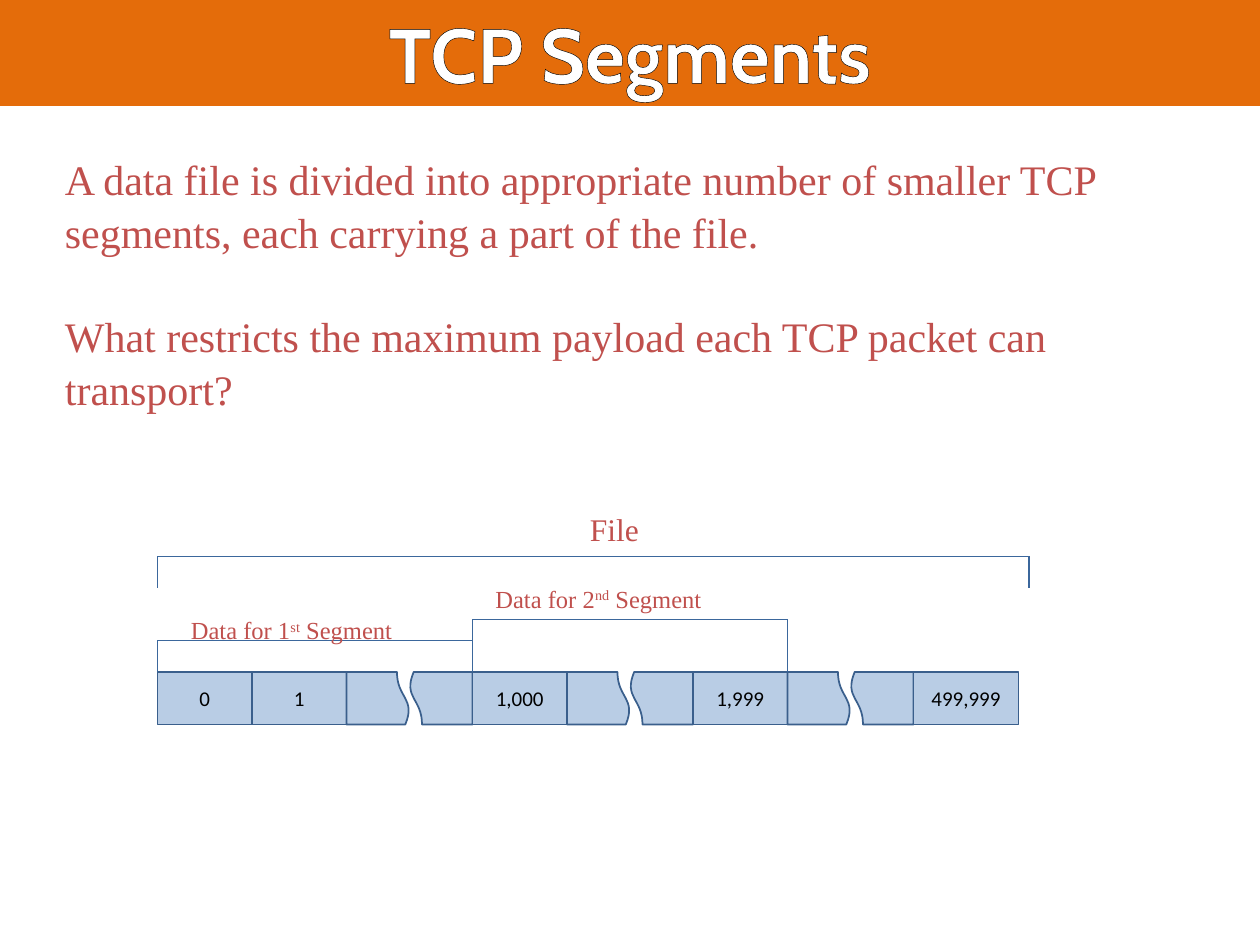
import pptx
import pptx.util
import pptx.dml.color
import pptx.enum.shapes
import pptx.enum.text
import pptx.oxml.ns
import lxml.etree

Pt = pptx.util.Pt
RGB = pptx.dml.color.RGBColor
MSO = pptx.enum.shapes.MSO_SHAPE
ALIGN = pptx.enum.text.PP_ALIGN
ANCHOR = pptx.enum.text.MSO_ANCHOR
qn = pptx.oxml.ns.qn

ORANGE = RGB(0xE4, 0x6C, 0x0A)
WHITE = RGB(0xFF, 0xFF, 0xFF)
BLACK = RGB(0x00, 0x00, 0x00)
RED = RGB(0xC0, 0x50, 0x4D)
CELL_FILL = RGB(0xB9, 0xCD, 0xE5)
CELL_LINE = RGB(0x3A, 0x5F, 0x8C)
BRACKET = RGB(0x3B, 0x67, 0x9C)

TITLE_FONT = {"name": "Cabin", "size": Pt(44), "bold": True}
BODY_FONT = {"name": "Times New Roman", "size": Pt(24)}
FILE_FONT = {"name": "Times New Roman", "size": Pt(18)}
LABEL_FONT = {"name": "Times New Roman", "size": Pt(14)}
CELL_FONT = {"name": "Calibri", "size": Pt(12)}


def add_run(p, text, font, color):
    r = p.add_run()
    r.text = text
    for key, value in font.items():
        setattr(r.font, key, value)
    r.font.color.rgb = color
    return r


def add_title(s, text, x, y, w, h):
    sp = s.shapes.title
    sp.left, sp.top, sp.width, sp.height = Pt(x), Pt(y), Pt(w), Pt(h)
    sp.fill.solid()
    sp.fill.fore_color.rgb = ORANGE
    tf = sp.text_frame
    tf.auto_size = pptx.enum.text.MSO_AUTO_SIZE.NONE
    tf.vertical_anchor = ANCHOR.TOP
    p = tf.paragraphs[0]
    p.alignment = ALIGN.CENTER
    r = add_run(p, text, TITLE_FONT, WHITE)
    ln = lxml.etree.Element(qn("a:ln"), w=str(Pt(0.75)))
    fill = lxml.etree.SubElement(ln, qn("a:solidFill"))
    lxml.etree.SubElement(fill, qn("a:srgbClr"), val=str(BLACK))
    r.font._element.insert(0, ln)


def add_text_box(s, x, y, w, h, wrap=False):
    tf = s.shapes.add_textbox(Pt(x), Pt(y), Pt(w), Pt(h)).text_frame
    tf.word_wrap = wrap
    return tf


def add_body(s, paragraphs, x, y, w, h):
    tf = add_text_box(s, x, y, w, h, wrap=True)
    for i, text in enumerate(paragraphs):
        p = tf.add_paragraph() if i else tf.paragraphs[0]
        p.line_spacing = 1.05
        p.space_before = Pt(29 if i else 0)
        add_run(p, text, BODY_FONT, RED)


def add_segment_label(s, number, suffix, x, y, w, h):
    p = add_text_box(s, x, y, w, h).paragraphs[0]
    add_run(p, f"Data for {number}", LABEL_FONT, RED)
    r = add_run(p, suffix, LABEL_FONT, RED)
    r.font._element.set("baseline", "30000")
    add_run(p, " Segment", LABEL_FONT, RED)


def add_block(s, kind, x, y, w, h):
    sp = s.shapes.add_shape(kind, Pt(x), Pt(y), Pt(w), Pt(h))
    sp.shadow.inherit = False
    sp.fill.solid()
    sp.fill.fore_color.rgb = CELL_FILL
    sp.line.color.rgb = CELL_LINE
    sp.line.width = Pt(1)
    return sp


def add_cell(s, text, x, y, w, h):
    tf = add_block(s, MSO.RECTANGLE, x, y, w, h).text_frame
    tf.margin_left = tf.margin_right = 0
    tf.vertical_anchor = ANCHOR.MIDDLE
    p = tf.paragraphs[0]
    p.alignment = ALIGN.CENTER
    add_run(p, text, CELL_FONT, BLACK)


def add_torn_pair(s, x, y, w, h):
    half = w / 2
    for i, angle in enumerate((270, 90)):
        left = x + i * half + (half - h) / 2
        top = y + (h - half) / 2
        add_block(s, MSO.FLOWCHART_DOCUMENT, left, top, h, half).rotation = angle


def add_byte_row(s, x, y, h):
    cell_w, last_w, torn_w = 54, 60, 72
    add_cell(s, "0", x, y, cell_w, h)
    x += cell_w
    for text, next_w in (("1", cell_w), ("1,000", cell_w), ("1,999", cell_w)):
        add_cell(s, text, x, y, next_w, h)
        add_torn_pair(s, x + next_w, y, torn_w, h)
        x += next_w + torn_w
    add_cell(s, "499,999", x, y, last_w, h)


def add_bracket(s, x, y, w, h):
    corners = [(x, y + h), (x, y), (x + w, y), (x + w, y + h)]
    for (x1, y1), (x2, y2) in zip(corners, corners[1:]):
        c = s.shapes.add_connector(
            pptx.enum.shapes.MSO_CONNECTOR.STRAIGHT, Pt(x1), Pt(y1), Pt(x2), Pt(y2))
        c.line.color.rgb = BRACKET
        c.line.width = Pt(0.75)
        lxml.etree.SubElement(c._element.spPr, qn("a:effectLst"))


def add_file_diagram(s, x, y):
    segment_w, row_y = 180, y + 96
    add_byte_row(s, x, row_y, 30)
    add_bracket(s, x, y + 30, 498, 18)
    add_bracket(s, x, row_y - 18, segment_w, 18)
    add_bracket(s, x + segment_w, row_y - 30, segment_w, 30)
    add_run(add_text_box(s, x + 240, y, 51, 29).paragraphs[0], "File", FILE_FONT, RED)
    add_segment_label(s, 1, "st", x + 12, y + 60, 151, 24)
    add_segment_label(s, 2, "nd", x + 186, y + 42, 151, 24)


def main():
    prs = pptx.Presentation()
    prs.slide_width, prs.slide_height = Pt(720), Pt(540)
    s = prs.slides.add_slide(prs.slide_layouts[5])
    add_title(s, "TCP Segments", 0, 0, 720, 60.5)
    add_file_diagram(s, 90, 288)
    add_body(s, [
        "A data file is divided into appropriate number of smaller TCP "
        "segments, each carrying a part of the file.",
        "What restricts the maximum payload each TCP packet can transport?",
    ], 30, 83, 660, 153)
    prs.save("out.pptx")


if __name__ == "__main__":
    main()
